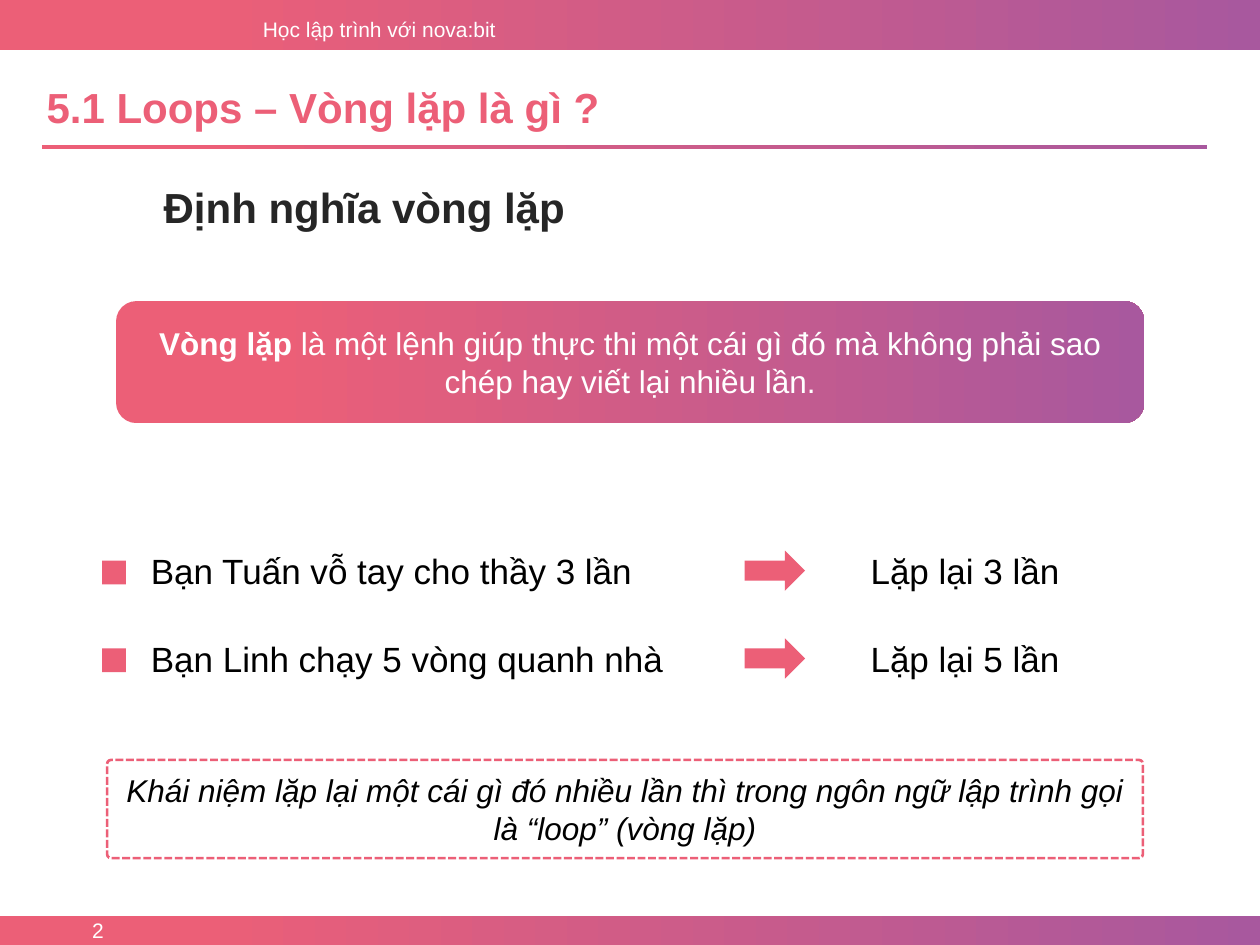
from pptx import Presentation
from pptx.dml.color import RGBColor
from pptx.enum.dml import MSO_LINE
from pptx.enum.shapes import MSO_SHAPE
from pptx.enum.text import MSO_ANCHOR, PP_ALIGN
from pptx.util import Cm, Pt

HUES = {
    "pink": "EC5F77",
    "plum": "A8589E",
    "white": "FFFFFF",
    "dark": "262626",
    "black": "000000",
}


def hue(name):
    return RGBColor.from_string(HUES[name])


def write(shape, runs, size, color, align=PP_ALIGN.LEFT, anchor=MSO_ANCHOR.TOP):
    """Fill a shape with one paragraph; runs are (text, extra format) pairs."""
    frame = shape.text_frame
    frame.word_wrap = True
    frame.vertical_anchor = anchor
    para = frame.paragraphs[0]
    para.alignment = align
    for text, extra in runs:
        run = para.add_run()
        run.text = text
        run.font.color.rgb = hue(color)
        for key, value in {"name": "Arial", "size": Pt(size), **extra}.items():
            setattr(run.font, key, value)


def label(slide, box, text, size, color, extra=None, **place):
    shape = slide.shapes.add_textbox(*map(Cm, box))
    write(shape, [(text, extra or {})], size, color, **place)


def block(slide, kind, box, fill=None):
    """Add a borderless preset shape with a plain fill, or none."""
    shape = slide.shapes.add_shape(kind, *map(Cm, box))
    shape.shadow.inherit = False
    shape.line.fill.background()
    if fill:
        shape.fill.solid()
        shape.fill.fore_color.rgb = hue(fill)
    else:
        shape.fill.background()
    return shape


def fade(slide, kind, box):
    """Add a shape that runs from pink to plum, left to right."""
    shape = block(slide, kind, box)
    shape.fill.gradient()
    shape.fill.gradient_angle = 0
    stops = zip(shape.fill.gradient_stops, ((0.15, "pink"), (1, "plum")))
    for stop, (spot, name) in stops:
        stop.position = spot
        stop.color.rgb = hue(name)
    return shape


def sample(slide, top, action, result):
    """Add one example row: marker, action, arrow, result."""
    block(slide, MSO_SHAPE.RECTANGLE, (2.06, top + 0.35, 0.48, 0.48), "pink")
    label(slide, (2.79, top, 11.15, 1.12), action, 20, "black")
    block(slide, MSO_SHAPE.RIGHT_ARROW, (15.01, top + 0.15, 1.22, 0.81), "pink")
    label(slide, (17.3, top, 4.83, 1.12), result, 20, "black")


def main():
    deck = Presentation()
    deck.slide_width, deck.slide_height = Cm(25.4), Cm(19.05)
    slide = deck.slides.add_slide(deck.slide_layouts[6])
    bold = {"bold": True}
    middle = {"align": PP_ALIGN.CENTER, "anchor": MSO_ANCHOR.MIDDLE}

    # Header and footer bands, title rule
    for box in ((0, 0, 25.4, 1.02), (0, 18.47, 25.4, 0.58), (0.84, 2.92, 23.5, 0.08)):
        fade(slide, MSO_SHAPE.RECTANGLE, box)
    label(slide, (5.05, 0.2, 5.72, 0.76), "Học lập trình với nova:bit", 12, "white")
    label(slide, (0, 18.47, 2.34, 0.58), "2", 12, "white",
          align=PP_ALIGN.RIGHT, anchor=MSO_ANCHOR.MIDDLE)

    # Titles
    label(slide, (0.69, 1.52, 20.5, 1.27), "5.1 Loops – Vòng lặp là gì ?", 24, "pink", bold)
    label(slide, (3.05, 3.53, 15.24, 1.27), "Định nghĩa vòng lặp", 24, "dark", bold)

    # Definition
    card = fade(slide, MSO_SHAPE.ROUNDED_RECTANGLE, (2.34, 6.07, 20.73, 2.46))
    write(card, [
        ("Vòng lặp", bold),
        (" là một lệnh giúp thực thi một cái gì đó mà không phải sao chép"
         " hay viết lại nhiều lần.", {}),
    ], 18, "white", **middle)

    # Examples
    rows = (
        ("Bạn Tuấn vỗ tay cho thầy 3 lần", "Lặp lại 3 lần"),
        ("Bạn Linh chạy 5 vòng quanh nhà", "Lặp lại 5 lần"),
    )
    for i, row in enumerate(rows):
        sample(slide, 10.95 + 1.77 * i, *row)

    # Closing note
    note = block(slide, MSO_SHAPE.ROUNDED_RECTANGLE, (2.16, 15.32, 20.88, 1.98))
    note.adjustments[0] = 0.04
    note.line.color.rgb = hue("pink")
    for key, value in {"width": Pt(1.5), "dash_style": MSO_LINE.SQUARE_DOT}.items():
        setattr(note.line, key, value)
    write(note, [
        ("Khái niệm lặp lại một cái gì đó nhiều lần thì trong ngôn ngữ lập trình"
         " gọi là “loop” (vòng lặp)", {"italic": True}),
    ], 18, "black", **middle)

    deck.save("out.pptx")


if __name__ == "__main__":
    main()
